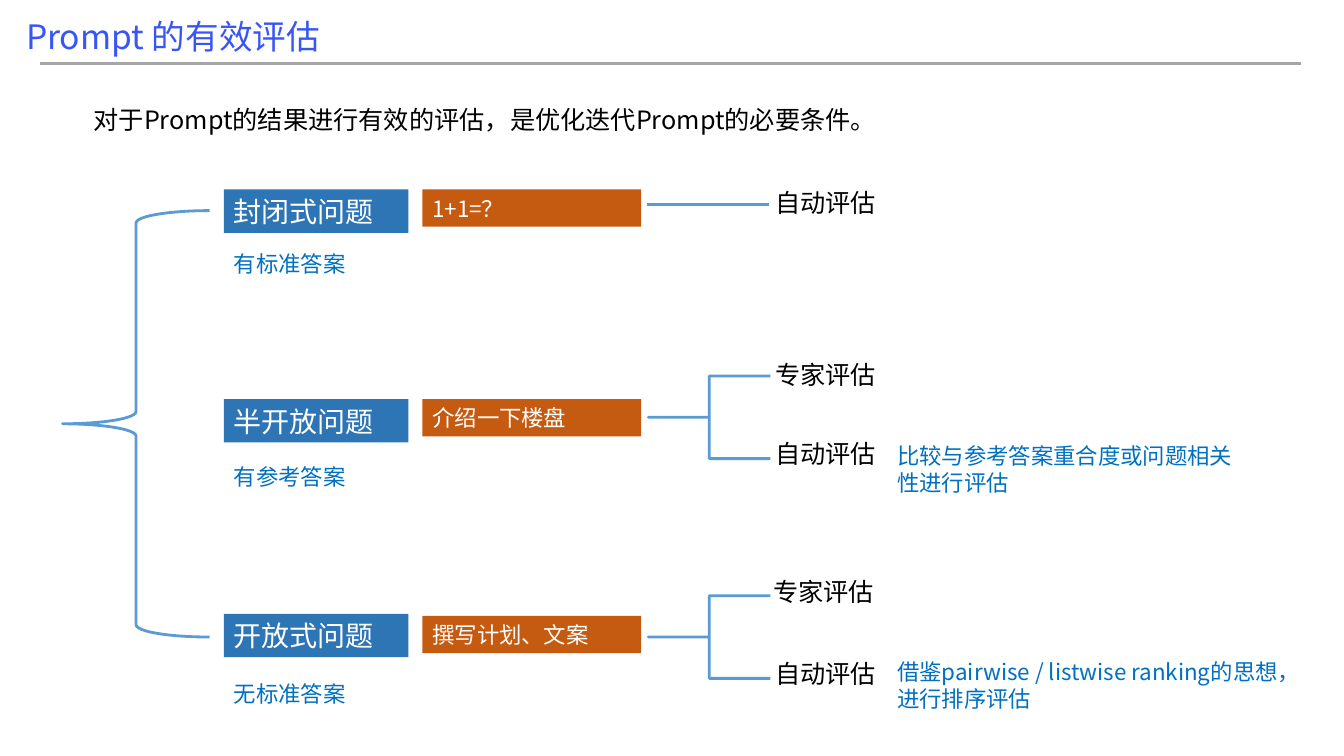
from lxml.etree import SubElement
from pptx import Presentation
from pptx.dml.color import RGBColor
from pptx.enum.shapes import MSO_CONNECTOR as Conn, MSO_SHAPE as Kind
from pptx.enum.text import MSO_ANCHOR as Anchor, MSO_AUTO_SIZE as Fit, PP_ALIGN as Align
from pptx.oxml.ns import qn
from pptx.util import Emu, Pt

PX = 9144  # 100 px to the inch
SANS, LATIN = "Noto Sans CJK SC", "Roboto"
WHITE = RGBColor(0xFF, 0xFF, 0xFF)
BLACK = RGBColor(0, 0, 0)
GREY = RGBColor(0xA6, 0xA6, 0xA6)
TITLE = RGBColor(0x38, 0x56, 0xF5)
NOTE = RGBColor(0x00, 0x70, 0xC0)
LINE = RGBColor(0x5B, 0x9B, 0xD5)
BLUE = RGBColor(0x2E, 0x75, 0xB6)
RUST = RGBColor(0xC5, 0x5A, 0x11)


def px(*sizes):
    return [Emu(size * PX) for size in sizes]


def write(shape, text, size, color, font=SANS, fit=Fit.SHAPE_TO_FIT_TEXT):
    frame = shape.text_frame
    frame.word_wrap = True
    frame.auto_size = fit
    para = frame.paragraphs[0]
    para.text = text
    para.alignment = Align.LEFT
    para.font.size = Pt(size)
    para.font.color.rgb = color
    para.font.name = font
    # East Asian characters take their own typeface
    props = para._p.pPr.find(qn("a:defRPr"))
    SubElement(props, qn("a:ea"), typeface=SANS)


def label(slide, box, text, size, color):
    write(slide.shapes.add_textbox(*px(*box)), text, size, color)


def block(slide, box, fill, text, size, font=SANS, fit=Fit.SHAPE_TO_FIT_TEXT):
    rect = slide.shapes.add_shape(Kind.RECTANGLE, *px(*box))
    rect.shadow.inherit = False
    rect.fill.solid()
    rect.fill.fore_color.rgb = fill
    rect.line.fill.background()
    rect.text_frame.vertical_anchor = Anchor.MIDDLE
    write(rect, text, size, WHITE, font, fit)


def brace(slide, box, curve):
    shape = slide.shapes.add_shape(Kind.LEFT_BRACE, *px(*box))
    shape.shadow.inherit = False
    shape.fill.background()
    shape.line.color.rgb = LINE
    shape.line.width = Pt(2)
    shape.adjustments[0] = curve
    shape.adjustments[1] = 0.5


def rule(slide, x, y, w, color, width):
    line = slide.shapes.add_connector(Conn.STRAIGHT, *px(x, y, x + w, y))
    line.line.color.rgb = color
    line.line.width = Pt(width)
    SubElement(line._element.spPr, qn("a:effectLst"))


def header(slide, x, y):
    rule(slide, x + 24, y + 52, 1250, GREY, 1.5)
    label(slide, (x, y, 903, 50), "Prompt 的有效评估", 24, TITLE)
    label(slide, (x + 67, y + 88, 848, 40),
          "对于Prompt的结果进行有效的评估，是优化迭代Prompt的必要条件。", 18, BLACK)


def question(slide, x, y, name, case, note, drop, gap):
    """Place a question type, its example `drop` lower and its note `gap` lower."""
    block(slide, (x, y, 183, 43), BLUE, name, 20, LATIN, Fit.NONE)
    block(slide, (x + 197, y + drop, 217, 37), RUST, case, 16)
    label(slide, (x, y + gap, 159, 37), note, 16, NOTE)


def direct(slide, x, y):
    rule(slide, x, y, 121, LINE, 2)
    label(slide, (x + 117, y - 22, 249, 40), "自动评估", 18, BLACK)


def fork(slide, x, y, expert, detail, text, width):
    """Split into two methods; `expert` and `detail` are offsets from the corner."""
    brace(slide, (x, y, 121, 82), 0)
    label(slide, (x + expert[0], y + expert[1], 249, 40), "专家评估", 18, BLACK)
    label(slide, (x + 116, y + 57, 312, 40), "自动评估", 18, BLACK)
    label(slide, (x + detail[0], y + detail[1], width, 64), text, 16, NOTE)


def main():
    deck = Presentation()
    deck.slide_width, deck.slide_height = px(1333, 750)
    slide = deck.slides.add_slide(deck.slide_layouts[6])
    header(slide, 16, 11)
    brace(slide, (62, 209, 146, 423), 0.0833)
    for y, *parts in (
        (188, "封闭式问题", "1+1=？", "有标准答案", 0, 55),
        (396, "半开放问题", "介绍一下楼盘", "有参考答案", 0, 59),
        (609, "开放式问题", "撰写计划、文案", "无标准答案", 2, 61),
    ):
        question(slide, 222, y, *parts)
    direct(slide, 642, 203)
    fork(slide, 643, 373, (116, -21), (237, 61),
         "比较与参考答案重合度或问题相关性进行评估", 361)
    fork(slide, 643, 591, (114, -24), (237, 57),
         "借鉴pairwise / listwise ranking的思想，进行排序评估", 401)
    deck.save("out.pptx")


if __name__ == "__main__":
    main()
